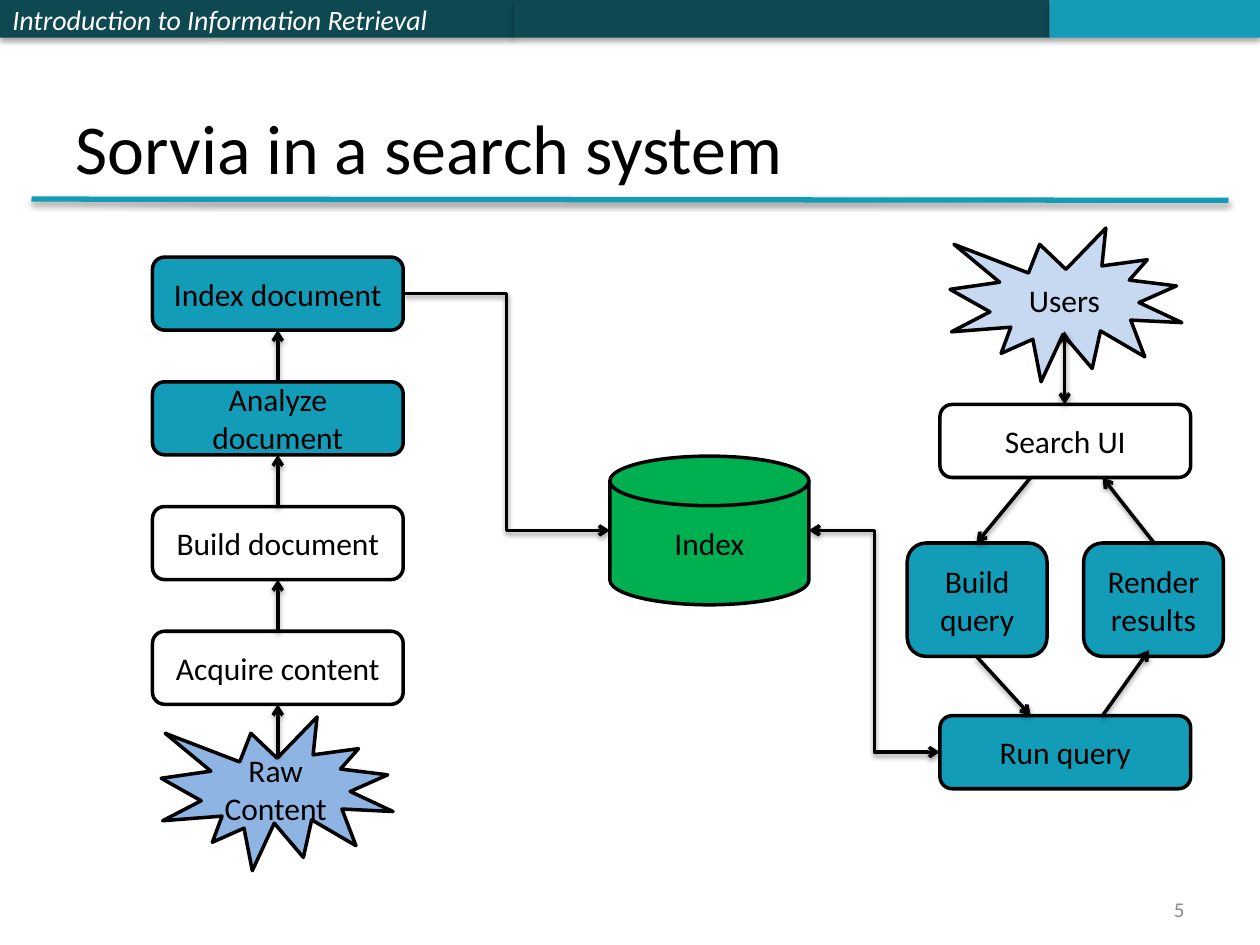
from collections import namedtuple
from lxml.etree import SubElement
from pptx import Presentation
from pptx.dml.color import RGBColor
from pptx.enum.shapes import MSO_CONNECTOR as Wire, MSO_SHAPE as Preset
from pptx.enum.text import MSO_ANCHOR as Anchor, PP_ALIGN as Align
from pptx.oxml.ns import qn
from pptx.util import Inches, Pt

Box = namedtuple("Box", "left top width height")
TEAL, DARK, GREEN = "139CB7", "0E4851", "00B050"
BLACK, WHITE, GREY = "000000", "FFFFFF", "898989"
NODE_WIDTH, NODE_HEIGHT = 1.99, 0.58
BURST_WIDTH, BURST_HEIGHT = 1.84, 1.22


def color(hex_text):
    return RGBColor.from_string(hex_text)


def inches(values):
    return [Inches(value) for value in values]


def style_text(frame, text, size, hex_text, align, anchor, italic=False):
    frame.text = text
    frame.word_wrap = True
    frame.vertical_anchor = anchor
    para = frame.paragraphs[0]
    para.alignment = align
    font = para.runs[0].font
    font.name, font.size, font.italic = "Calibri", Pt(size), italic
    font.color.rgb = color(hex_text)


def add_shadow(shape, distance, opacity):
    properties = shape._element.spPr
    effects = properties.find(qn("a:effectLst"))
    if effects is None:
        effects = SubElement(properties, qn("a:effectLst"))
    shadow = SubElement(effects, qn("a:outerShdw"), blurRad=str(Pt(3.1)),
                        dist=str(Pt(distance)), dir="5400000", rotWithShape="0")
    black = SubElement(shadow, qn("a:srgbClr"), val=BLACK)
    SubElement(black, qn("a:alpha"), val=str(opacity * 1000))


def add_node(page, box, text, fill=None, preset=Preset.FLOWCHART_ALTERNATE_PROCESS):
    node = page.shapes.add_shape(preset, *inches(box))
    node.shadow.inherit = False
    if fill:
        node.fill.solid()
        node.fill.fore_color.rgb = color(fill)
    else:
        node.fill.background()
    node.line.color.rgb = color(BLACK)
    node.line.width = Pt(2)
    style_text(node.text_frame, text, 18, BLACK, Align.CENTER, Anchor.MIDDLE)


def add_line(page, start, end, ends=("tailEnd",), wire=Wire.STRAIGHT,
             hex_text=BLACK, width=2):
    line = page.shapes.add_connector(wire, *inches((*start, *end)))
    line.line.color.rgb = color(hex_text)
    line.line.width = Pt(width)
    for name in ends:
        SubElement(line.line._get_or_add_ln(), qn("a:" + name), type="arrow")
    add_shadow(line, 1.6, 38)


def draw_header(page, box):
    # Coloured bands across the top
    left = box.left
    for width, fill, text in ((4.08, DARK, "Introduction to Information Retrieval"),
                              (4.25, DARK, ""), (1.67, TEAL, "")):
        band = page.shapes.add_shape(
            Preset.RECTANGLE, *inches((left, box.top, width, box.height)))
        band.shadow.inherit = False
        band.fill.solid()
        band.fill.fore_color.rgb = color(fill)
        band.line.fill.background()
        add_shadow(band, 1.8, 35)
        if text:
            style_text(band.text_frame, text, 16, WHITE, Align.LEFT,
                       Anchor.MIDDLE, italic=True)
        left += width


def draw_title(page, box, text):
    title = page.shapes.title
    title.left, title.top, title.width, title.height = inches(box)
    style_text(title.text_frame, text, 40, BLACK, Align.LEFT, Anchor.BOTTOM)
    # Rule below the title
    rule = box.top + box.height + 0.03
    add_line(page, (box.left - 0.25, rule), (box.left + box.width + 0.25, rule + 0.01),
             ends=(), hex_text=TEAL, width=3)


def draw_indexing(page, box):
    # Stack of steps, read from the bottom up
    center, step = box.left + box.width / 2, 0.99
    add_node(page, Box(box.left + 0.07, box.top + 3.65, BURST_WIDTH, BURST_HEIGHT),
             "Raw Content", "8EB4E3", Preset.EXPLOSION1)
    steps = (("Index document", TEAL), ("Analyze document", TEAL),
             ("Build document", None), ("Acquire content", None))
    for row, (text, fill) in enumerate(steps):
        top = box.top + row * step
        add_node(page, Box(box.left, top, box.width, NODE_HEIGHT), text, fill)
        add_line(page, (center, top + step), (center, top + NODE_HEIGHT))


def draw_index(page, box):
    add_node(page, box, "Index", GREEN, Preset.FLOWCHART_MAGNETIC_DISK)


def draw_searching(page, box):
    # Users, search page, query loop
    left, top = box.left, box.top
    ui, pair, run = top + 1.4, top + 2.5, top + 3.87
    node_left, center = left + 0.26, left + 1.25
    ui_end, pair_end = ui + NODE_HEIGHT, pair + 0.9
    add_node(page, Box(left + 0.34, top, BURST_WIDTH, BURST_HEIGHT),
             "Users", "C6D9F1", Preset.EXPLOSION1)
    for row, text, fill in ((ui, "Search UI", None), (run, "Run query", TEAL)):
        add_node(page, Box(node_left, row, NODE_WIDTH, NODE_HEIGHT), text, fill)
    for column, text in enumerate(("Build query", "Render results")):
        add_node(page, Box(left + column * 1.4, pair, 1.11, 0.9), text, TEAL)

    # Arrows around the loop
    inner_left, inner_right, build = left + 0.98, left + 1.55, left + 0.55
    add_line(page, (inner_left, ui_end), (build, pair))
    add_line(page, (left + 1.96, pair), (inner_right, ui_end))
    add_line(page, (build, pair_end), (inner_left, run))
    add_line(page, (inner_right, run), (left + 1.92, pair_end - 0.05))
    add_line(page, (center, top + 0.82), (center, ui), ("headEnd", "tailEnd"))


def draw_links(page, indexing, index, searching):
    # Bent arrows into the index
    middle = index.top + index.height / 2
    add_line(page, (indexing.left + indexing.width, indexing.top + NODE_HEIGHT / 2),
             (index.left, middle), wire=Wire.ELBOW)
    add_line(page, (searching.left + 0.26, searching.top + 3.87 + NODE_HEIGHT / 2),
             (index.left + index.width, middle), ("headEnd", "tailEnd"), Wire.ELBOW)


def draw_number(page, box, text):
    number = page.shapes.add_textbox(*inches(box))
    style_text(number.text_frame, text, 12, GREY, Align.RIGHT, Anchor.MIDDLE)


deck = Presentation()
deck.slide_width, deck.slide_height = Inches(10), Inches(7.5)
page = deck.slides.add_slide(deck.slide_layouts[5])

indexing = Box(1.21, 2.04, NODE_WIDTH, 4.87)
index = Box(4.84, 3.62, 1.58, 1.18)
searching = Box(7.2, 1.81, 2.51, 4.45)

draw_header(page, Box(0, 0, 10, 0.3))
draw_title(page, Box(0.5, 0.3, 9, 1.25), "Sorvia in a search system")
draw_indexing(page, indexing)
draw_index(page, index)
draw_searching(page, searching)
draw_links(page, indexing, index, searching)
draw_number(page, Box(7.17, 7.08, 2.33, 0.27), "5")

deck.save("out.pptx")
